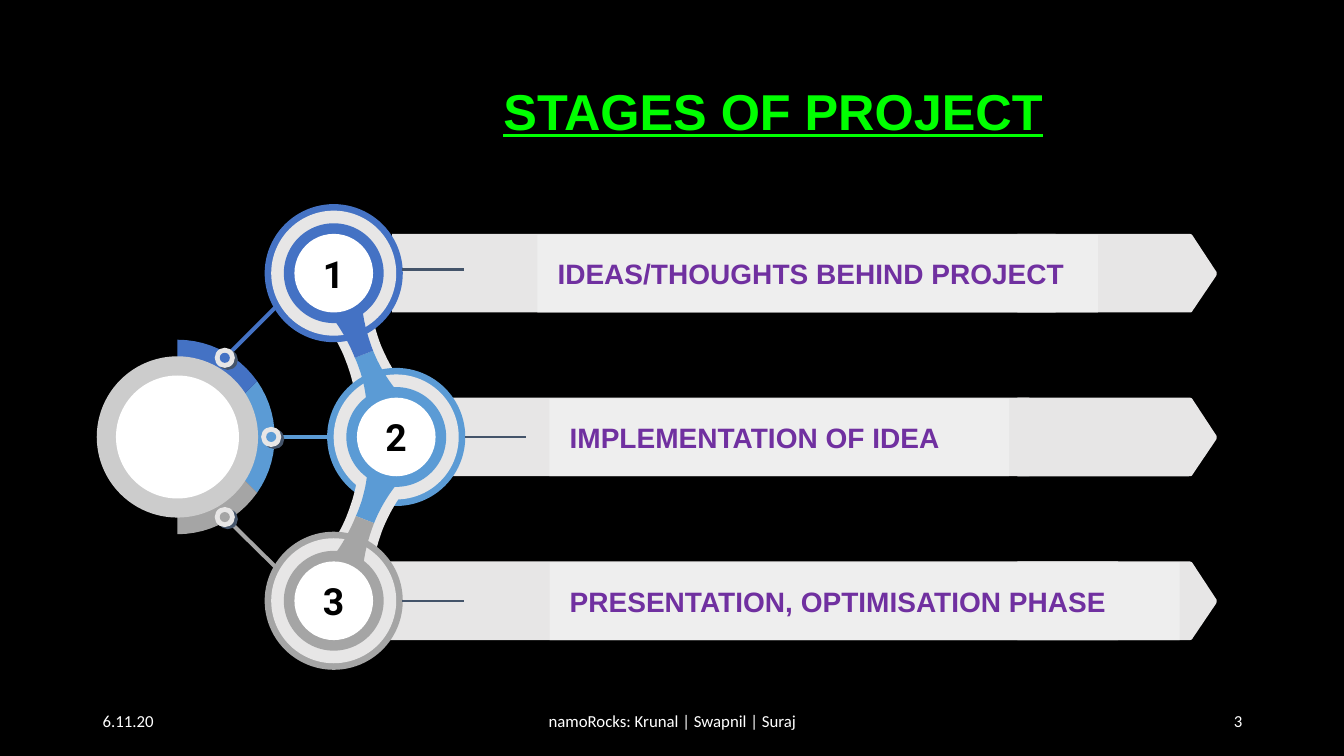
from dataclasses import dataclass
from math import cos, radians, sin

from lxml.etree import SubElement
from pptx import Presentation
from pptx.dml.color import RGBColor
from pptx.enum.shapes import MSO_CONNECTOR as CONN, MSO_SHAPE as SHAPE
from pptx.enum.text import MSO_ANCHOR as ANCHOR, MSO_AUTO_SIZE as FIT, PP_ALIGN as ALIGN
from pptx.oxml.ns import qn
from pptx.util import Inches, Pt

COLORS = {
    "black": "000000", "white": "FFFFFF", "green": "00FF00", "purple": "7030A0",
    "blue": "4472C4", "sky": "5B9BD5", "gray": "A5A5A5", "slate": "44546A",
    "silver": "E7E6E6", "label": "EEEEEE", "hub": "CCCCCC",
}
FRAME = {"word_wrap": True, "auto_size": FIT.NONE, "vertical_anchor": ANCHOR.MIDDLE}
TITLE = {"name": "Arial", "size": Pt(36), "bold": True, "underline": True}
LABEL = {"name": "Arial", "size": Pt(20), "bold": True}
NUMBER = {"name": "Roboto", "size": Pt(26.7), "bold": True}
FOOTER = {"name": "Calibri", "size": Pt(12)}

Path = list[tuple[float, ...]]
MID_Y = 4.335
HUB_X = 1.76
FAN_R = 0.965
BAR_H = 0.78
TIP_X = 10.09
SLEEVE: Path = [
    (3.43, 3.58), (3.5, 3.76, 3.54, 3.95, 3.54, 4.1), (3.54, 4.25), (4.17, 3.99),
    (4.07, 3.89), (3.96, 3.78, 3.86, 3.62, 3.78, 3.43), (3.71, 3.25, 3.67, 3.06, 3.67, 2.91),
    (3.68, 2.76), (3.04, 3.02), (3.14, 3.12), (3.25, 3.23, 3.36, 3.39, 3.43, 3.58),
]
LOWER_NECK: Path = [
    (3.7, 3.48), (3.78, 3.68, 3.9, 3.85, 4.01, 3.96), (3.64, 4.11),
    (3.64, 3.95, 3.61, 3.75, 3.52, 3.55),
]
UPPER_NECK: Path = [
    (3.7, 3.48), (3.52, 3.55), (3.44, 3.35, 3.33, 3.18, 3.22, 3.06), (3.59, 2.91),
    (3.58, 3.07, 3.62, 3.27, 3.7, 3.48),
]


@dataclass
class Stage:
    number: str
    text: str
    color: str
    x: float
    y: float
    bar: tuple[float, float]
    label: tuple[float, float]
    dot: tuple[float, float]
    link_end: tuple[float, float]
    lead_y: float
    lead_pt: float
    arc: tuple[int, int]
    fan_base: Path
    necks: list[Path]


def mirror(points: Path, dx: float) -> Path:
    return [tuple(2 * MID_Y - v if i % 2 else v + dx for i, v in enumerate(p)) for p in points]


def flatten(points: Path, steps: int = 12) -> Path:
    out = [points[0]]
    for p in points[1:]:
        if len(p) == 2:
            out.append(p)
            continue
        ends = [out[-1], p[:2], p[2:4], p[4:]]
        for t in (i / steps for i in range(1, steps + 1)):
            weights = ((1 - t) ** 3, 3 * t * (1 - t) ** 2, 3 * t * t * (1 - t), t ** 3)
            out.append(tuple(sum(w * e[axis] for w, e in zip(weights, ends)) for axis in (0, 1)))
    return out


def rgb(name: str) -> RGBColor:
    return RGBColor.from_string(COLORS[name])


def paint(sp, color: str):
    sp.shadow.inherit = False
    sp.fill.solid()
    sp.fill.fore_color.rgb = rgb(color)
    sp.line.fill.background()
    return sp


def preset(s, kind, x: float, y: float, w: float, h: float, color: str):
    return paint(s.shapes.add_shape(kind, Inches(x), Inches(y), Inches(w), Inches(h)), color)


def disc(s, x: float, y: float, r: float, color: str):
    return preset(s, SHAPE.OVAL, x - r, y - r, 2 * r, 2 * r, color)


def outline(s, points: Path, color: str):
    start, *rest = [(Inches(x), Inches(y)) for x, y in flatten(points)]
    builder = s.shapes.build_freeform(*start)
    builder.add_line_segments(rest, close=True)
    return paint(builder.convert_to_shape(), color)


def line(s, start: tuple[float, float], end: tuple[float, float], color: str, width: float):
    c = s.shapes.add_connector(CONN.STRAIGHT, *(Inches(v) for v in start + end))
    c.line.color.rgb = rgb(color)
    c.line.width = Pt(width)
    SubElement(c._element.spPr, qn("a:effectLst"))


def write(sp, text: str, font: dict, color: str, align, inset_x: float, inset_y: float):
    tf = sp.text_frame
    margins = {"margin_left": inset_x, "margin_right": inset_x,
               "margin_top": inset_y, "margin_bottom": inset_y}
    for key, value in (FRAME | {k: Inches(v) for k, v in margins.items()}).items():
        setattr(tf, key, value)
    p = tf.paragraphs[0]
    p.alignment = align
    r = p.add_run()
    r.text = text
    for key, value in font.items():
        setattr(r.font, key, value)
    r.font.color.rgb = rgb(color)
    return p


def draw_bar(s, st: Stage):
    x, w = st.bar
    top = st.y - BAR_H / 2
    preset(s, SHAPE.RECTANGLE, x, top, w, BAR_H, "silver")
    tip = [(TIP_X, 0), (11.79, 0), (11.8, 0, 11.82, 0, 11.83, 0.02), (12.06, 0.37),
           (12.07, 0.38, 12.07, 0.4, 12.06, 0.42), (11.83, 0.76),
           (11.82, 0.78, 11.81, 0.78, 11.79, 0.78), (TIP_X, 0.78)]
    outline(s, [tuple(v + top if i % 2 else v for i, v in enumerate(p)) for p in tip], "silver")


def draw_label(s, st: Stage):
    x, w = st.label
    sp = preset(s, SHAPE.RECTANGLE, x, st.y - 0.38, w, 0.77, "label")
    write(sp, st.text, LABEL, "purple", ALIGN.LEFT, 0.2, 0.13)


def draw_stage(s, st: Stage, sleeve: Path | None = None):
    first, last = st.arc
    arc = [(HUB_X + FAN_R * cos(radians(a)), MID_Y + FAN_R * sin(radians(a)))
           for a in range(first, last + 1, 5)]
    outline(s, arc + st.fan_base, st.color)
    if sleeve:
        outline(s, sleeve, "silver")
    disc(s, st.x, st.y, 0.685, st.color)
    line(s, st.dot, st.link_end, st.color, 2.9)
    x, y = st.dot
    disc(s, x + 0.03, y + 0.02, 0.1, "slate")
    disc(s, x, y, 0.1, "silver")
    disc(s, x, y, 0.05, st.color)
    disc(s, st.x, st.y, 0.62, "silver")
    if sleeve:
        outline(s, mirror(sleeve, 0.02), "silver")
    line(s, (st.x + 0.68, st.lead_y), (st.x + 1.29, st.lead_y), "slate", st.lead_pt)
    for neck in st.necks:
        outline(s, neck, st.color)
    disc(s, st.x, st.y, 0.495, st.color)
    face = disc(s, st.x, st.y, 0.39, "white")
    write(face, st.number, NUMBER, "black", ALIGN.CENTER, 0, 0)


def main():
    prs = Presentation()
    prs.slide_width, prs.slide_height = Inches(13.33), Inches(7.5)
    s = prs.slides.add_slide(prs.slide_layouts[5])
    s.background.fill.solid()
    s.background.fill.fore_color.rgb = rgb("black")

    ideas = Stage("1", "IDEAS/THOUGHTS BEHIND PROJECT", "blue", 3.31, 2.71, (3.89, 6.58),
                  (5.33, 5.56), (2.23, 3.55), (2.86, 2.92), 2.67, 2.2, (-90, -35),
                  [(2, MID_Y), (HUB_X, 4.09)], [UPPER_NECK])
    build = Stage("2", "IMPLEMENTATION OF IDEA", "sky", 3.93, MID_Y, (4.37, 5.84),
                  (5.45, 4.56), (2.69, MID_Y), (3.3, MID_Y), MID_Y, 1.5, (-35, 35),
                  [(2, MID_Y)], [LOWER_NECK, mirror(LOWER_NECK, 0.01)])
    present = Stage("3", "PRESENTATION, OPTIMISATION PHASE", "gray", 3.31, 5.96, (3.7, 7.39),
                    (5.45, 6.25), (2.23, 5.13), (2.86, 5.75), 5.96, 1.5, (35, 90),
                    [(HUB_X, 4.58), (2, MID_Y)], [mirror(UPPER_NECK, 0.01)])

    title = s.shapes.title
    title.left, title.top, title.width, title.height = map(Inches, (4.17, 0.78, 7, 0.7))
    p = write(title, "STAGES OF PROJECT", TITLE, "green", ALIGN.CENTER, 0.13, 0.13)
    p.line_spacing = 0.9

    draw_bar(s, build)
    draw_stage(s, build, SLEEVE)
    for st in (ideas, present):
        draw_bar(s, st)
    for st in (ideas, build, present):
        draw_label(s, st)
    for st in (present, ideas):
        draw_stage(s, st)
    disc(s, HUB_X, MID_Y, 0.8, "hub")
    disc(s, HUB_X, MID_Y, 0.61, "white")

    footers = [("6.11.20", 0.92, 3, ALIGN.LEFT),
               ("namoRocks: Krunal | Swapnil | Suraj", 4.42, 4.5, ALIGN.CENTER),
               ("3", 9.42, 3, ALIGN.RIGHT)]
    for text, x, w, align in footers:
        box = s.shapes.add_textbox(Inches(x), Inches(6.95), Inches(w), Inches(0.4))
        write(box, text, FOOTER, "white", align, 0.1, 0.05)
    prs.save("out.pptx")


if __name__ == "__main__":
    main()
